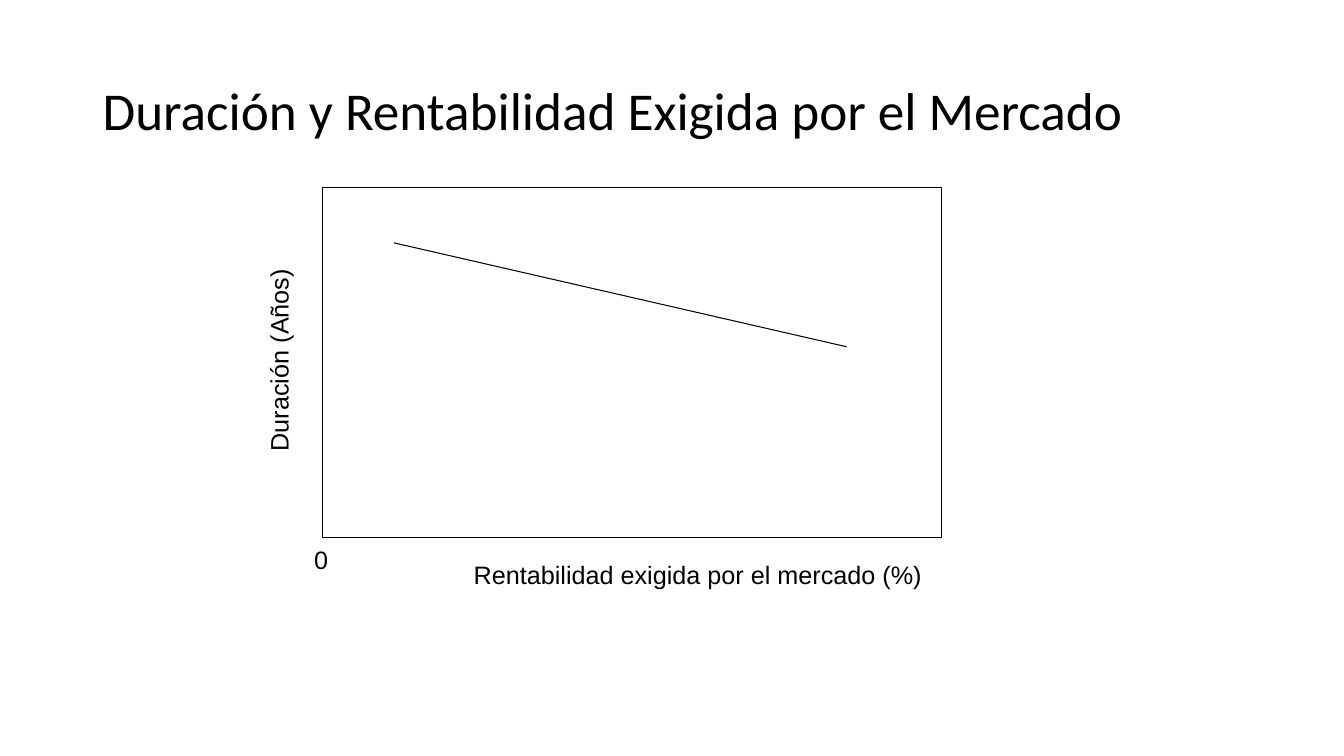
import pptx
import pptx.dml.color
import pptx.enum.shapes
import pptx.enum.text
import pptx.oxml.ns
import pptx.util
from lxml import etree

Pt = pptx.util.Pt
BLACK = pptx.dml.color.RGBColor(0, 0, 0)
WHITE = pptx.dml.color.RGBColor(255, 255, 255)


def add_text(s, text, x, y, w, h, size, font, wrap=False):
    """Add a one-line text box and return it."""
    sp = s.shapes.add_textbox(Pt(x), Pt(y), Pt(w), Pt(h))
    tf = sp.text_frame
    tf.word_wrap = wrap
    r = tf.paragraphs[0].add_run()
    r.text = text
    r.font.size = Pt(size)
    r.font.name = font
    r.font.color.rgb = BLACK
    return sp


def add_title(s, x, y, w, h):
    """Place the slide title, centred vertically in its box."""
    sp = add_text(s, "Duración y Rentabilidad Exigida por el Mercado",
                  x, y, w, h, 38, "Calibri", wrap=True)
    sp.text_frame.vertical_anchor = pptx.enum.text.MSO_ANCHOR.MIDDLE
    sp.text_frame.paragraphs[0].line_spacing = 0.9


def add_duration_plot(s, x, y, w, h):
    """Draw the framed plot with its falling line and axis labels."""
    frame = s.shapes.add_shape(pptx.enum.shapes.MSO_SHAPE.RECTANGLE,
                               Pt(x), Pt(y), Pt(w), Pt(h))
    frame.shadow.inherit = False
    frame.fill.solid()
    frame.fill.fore_color.rgb = WHITE

    trend = s.shapes.add_connector(
        pptx.enum.shapes.MSO_CONNECTOR.STRAIGHT,
        Pt(x + 51.1), Pt(y + 39.6), Pt(x + 374.4), Pt(y + 113.8))
    etree.SubElement(trend._element.spPr, pptx.oxml.ns.qn("a:effectLst"))

    for sp in (frame, trend):
        sp.line.color.rgb = BLACK
        sp.line.width = Pt(0.75)

    labels = (
        ("Duración (Años)", -103.7, 108.7, 144.7, 270),
        ("0", -13, h + 1.4, 24.5, 0),
        ("Rentabilidad exigida por el mercado (%)", 100.8, h + 12.2, 334.8, 0),
    )
    for text, dx, dy, width, angle in labels:
        sp = add_text(s, text, x + dx, y + dy, width, 28.8, 18, "Arial")
        sp.text_frame.auto_size = pptx.enum.text.MSO_AUTO_SIZE.SHAPE_TO_FIT_TEXT
        sp.rotation = angle


def main():
    """Build and save the slide."""
    prs = pptx.Presentation()
    prs.slide_width = Pt(960)
    prs.slide_height = Pt(540)
    s = prs.slides.add_slide(prs.slide_layouts[6])
    add_title(s, 66.2, 28.8, 828, 104.4)
    add_duration_plot(s, 230.4, 133.9, 442.1, 249.8)
    prs.save("out.pptx")


if __name__ == "__main__":
    main()
